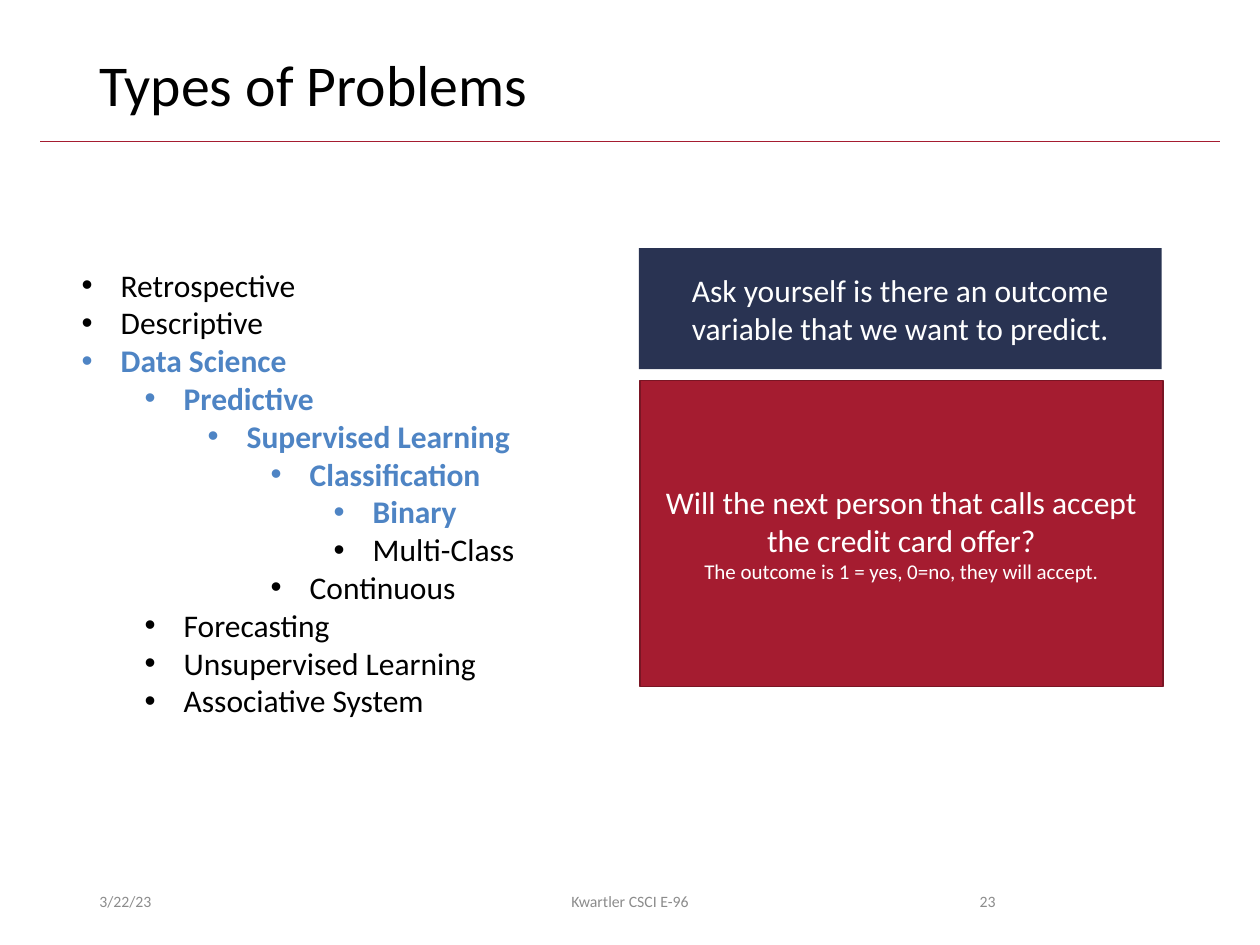
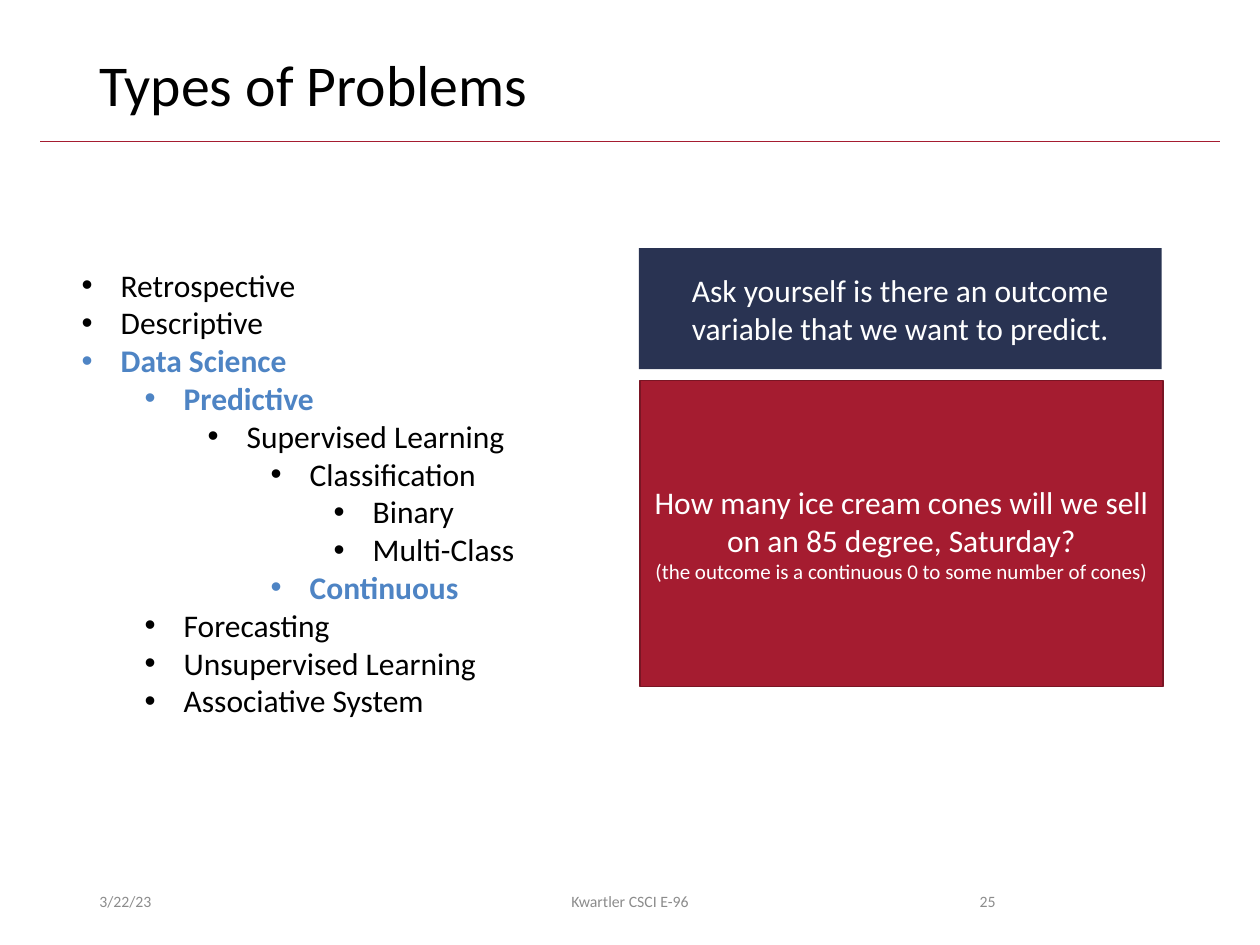
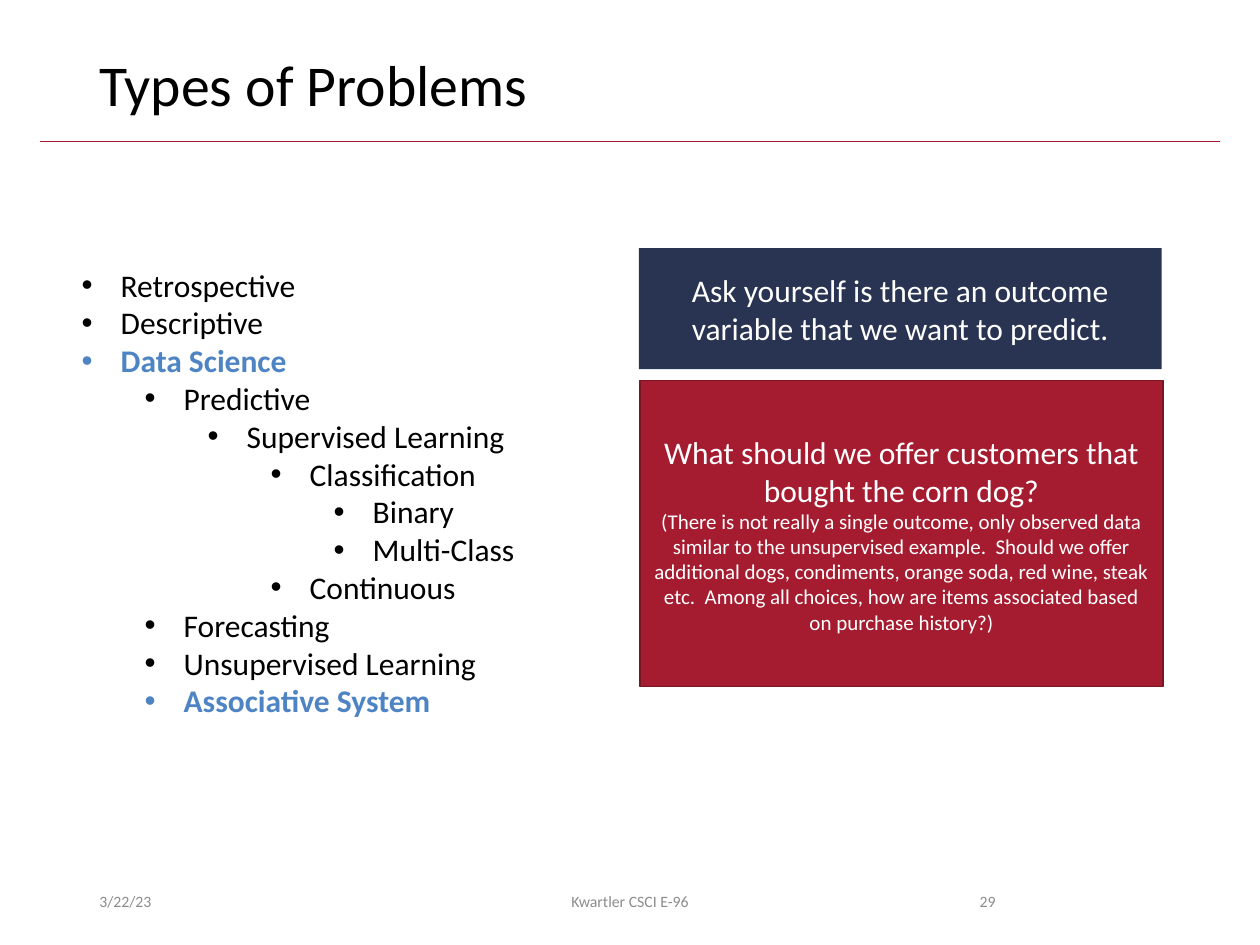
from dataclasses import dataclass

from lxml import etree
from pptx import Presentation
from pptx import util as u
from pptx.dml.color import RGBColor
from pptx.enum import shapes, text
from pptx.oxml import ns


@dataclass(frozen=True)
class Theme:
    font: str = "Calibri"
    black: str = "000000"
    white: str = "FFFFFF"
    grey: str = "8C8C8C"
    blue: str = "4E84C4"
    navy: str = "293352"
    crimson: str = "A51C30"
    dark_crimson: str = "7A1524"
    title_size: float = 33
    body_size: float = 18
    note_size: float = 12
    footer_size: float = 9


THEME = Theme()
LEFT, CENTER, RIGHT = text.PP_ALIGN.LEFT, text.PP_ALIGN.CENTER, text.PP_ALIGN.RIGHT

TITLE = "Types of Problems"
DATE = "3/22/23"
COURSE = "Kwartler CSCI E-96"
PROMPT = "Ask yourself is there an outcome variable that we want to predict."

# Problem types with their indent level
PROBLEM_TYPES = [
    ("Retrospective", 0),
    ("Descriptive", 0),
    ("Data Science", 0),
    ("Predictive", 1),
    ("Supervised Learning", 2),
    ("Classification", 3),
    ("Binary", 4),
    ("Multi-Class", 4),
    ("Continuous", 3),
    ("Forecasting", 1),
    ("Unsupervised Learning", 1),
    ("Associative System", 1),
]
BULLET_HANG = 0.31
LEVEL_STEP = 0.5

# Page number, highlighted problem types, question, explanation
EXAMPLES = [
    (
        23,
        {"Data Science", "Predictive", "Supervised Learning", "Classification", "Binary"},
        "Will the next person that calls accept the credit card offer?",
        "The outcome is 1 = yes, 0=no, they will accept.",
    ),
    (
        25,
        {"Data Science", "Predictive", "Continuous"},
        "How many ice cream cones will we sell on an 85 degree, Saturday?",
        "(the outcome is a continuous 0 to some number of cones)",
    ),
    (
        29,
        {"Data Science", "Associative System"},
        "What should we offer customers that bought the corn dog?",
        "(There is not really a single outcome, only observed data similar to the "
        "unsupervised example.  Should we offer additional dogs, condiments, orange "
        "soda, red wine, steak etc.  Among all choices, how are items associated "
        "based on purchase history?)",
    ),
]


def inches(*lengths):
    return [u.Inches(length) for length in lengths]


def rgb(color):
    return RGBColor.from_string(color)


def write(paragraph, words, size, color, align=LEFT, bold=False):
    paragraph.text = words
    paragraph.alignment = align
    for run in paragraph.runs:
        run.font.name = THEME.font
        run.font.size = u.Pt(size)
        run.font.bold = bold
        run.font.color.rgb = rgb(color)


def add_paragraphs(text_frame, count):
    for _ in range(count - 1):
        text_frame.add_paragraph()
    return text_frame.paragraphs


def add_label(slide, box, words, size, color, align=LEFT, anchor=text.MSO_ANCHOR.TOP):
    text_frame = slide.shapes.add_textbox(*inches(*box)).text_frame
    text_frame.word_wrap = True
    text_frame.vertical_anchor = anchor
    paragraph = text_frame.paragraphs[0]
    write(paragraph, words, size, color, align)
    return paragraph


def add_panel(slide, box, fill, lines, border=None):
    """Filled rectangle holding centred lines of (words, size)."""
    panel = slide.shapes.add_shape(shapes.MSO_SHAPE.RECTANGLE, *inches(*box))
    panel.shadow.inherit = False
    panel.fill.solid()
    panel.fill.fore_color.rgb = rgb(fill)
    if border:
        panel.line.color.rgb = rgb(border)
        panel.line.width = u.Pt(1)
    else:
        panel.line.fill.background()
    text_frame = panel.text_frame
    text_frame.word_wrap = True
    text_frame.vertical_anchor = text.MSO_ANCHOR.MIDDLE
    for paragraph, (words, size) in zip(add_paragraphs(text_frame, len(lines)), lines):
        write(paragraph, words, size, THEME.white, CENTER)


def add_rule(slide):
    rule = slide.shapes.add_connector(
        shapes.MSO_CONNECTOR.STRAIGHT, *inches(0.32, 1.12, 9.68, 1.12)
    )
    rule.line.color.rgb = rgb(THEME.crimson)
    rule.line.width = u.Pt(0.5)
    properties = rule._element.find(ns.qn("p:spPr"))
    etree.SubElement(properties, ns.qn("a:effectLst"))


def add_bullet(paragraph, level):
    paragraph.level = level
    properties = paragraph._p.get_or_add_pPr()
    properties.set("marL", str(u.Inches(BULLET_HANG + level * LEVEL_STEP)))
    properties.set("indent", str(-u.Inches(BULLET_HANG)))
    etree.SubElement(properties, ns.qn("a:buFont")).set("typeface", "Arial")
    etree.SubElement(properties, ns.qn("a:buChar")).set("char", "•")


def add_problem_list(slide, highlighted):
    text_frame = slide.shapes.add_textbox(*inches(0.55, 2.06, 3.67, 4.04)).text_frame
    text_frame.word_wrap = False
    text_frame.auto_size = text.MSO_AUTO_SIZE.SHAPE_TO_FIT_TEXT
    paragraphs = add_paragraphs(text_frame, len(PROBLEM_TYPES))
    for paragraph, (name, level) in zip(paragraphs, PROBLEM_TYPES):
        active = name in highlighted
        color = THEME.blue if active else THEME.black
        write(paragraph, name, THEME.body_size, color, bold=active)
        add_bullet(paragraph, level)


def add_frame(slide, page):
    """Title, rule and footer shared by every slide."""
    add_rule(slide)
    title = add_label(slide, (0.69, 0.4, 8.62, 0.65), TITLE, THEME.title_size, THEME.black)
    title.line_spacing = 0.9
    footers = [
        (0.69, 2.25, DATE, LEFT),
        (3.31, 3.38, COURSE, CENTER),
        (7.06, 0.94, str(page), RIGHT),
    ]
    for left, width, words, align in footers:
        add_label(slide, (left, 6.95, width, 0.4), words, THEME.footer_size,
                  THEME.grey, align, text.MSO_ANCHOR.MIDDLE)


def add_example(presentation, page, highlighted, question, explanation):
    slide = presentation.slides.add_slide(presentation.slide_layouts[6])
    add_frame(slide, page)
    add_panel(slide, (5.07, 1.97, 4.15, 0.96), THEME.navy, [(PROMPT, THEME.body_size)])
    add_panel(
        slide,
        (5.08, 3.02, 4.15, 2.43),
        THEME.crimson,
        [(question, THEME.body_size), (explanation, THEME.note_size)],
        border=THEME.dark_crimson,
    )
    add_problem_list(slide, highlighted)


def main():
    presentation = Presentation()
    presentation.slide_width, presentation.slide_height = inches(10, 7.5)
    for example in EXAMPLES:
        add_example(presentation, *example)
    presentation.save("out.pptx")


main()
